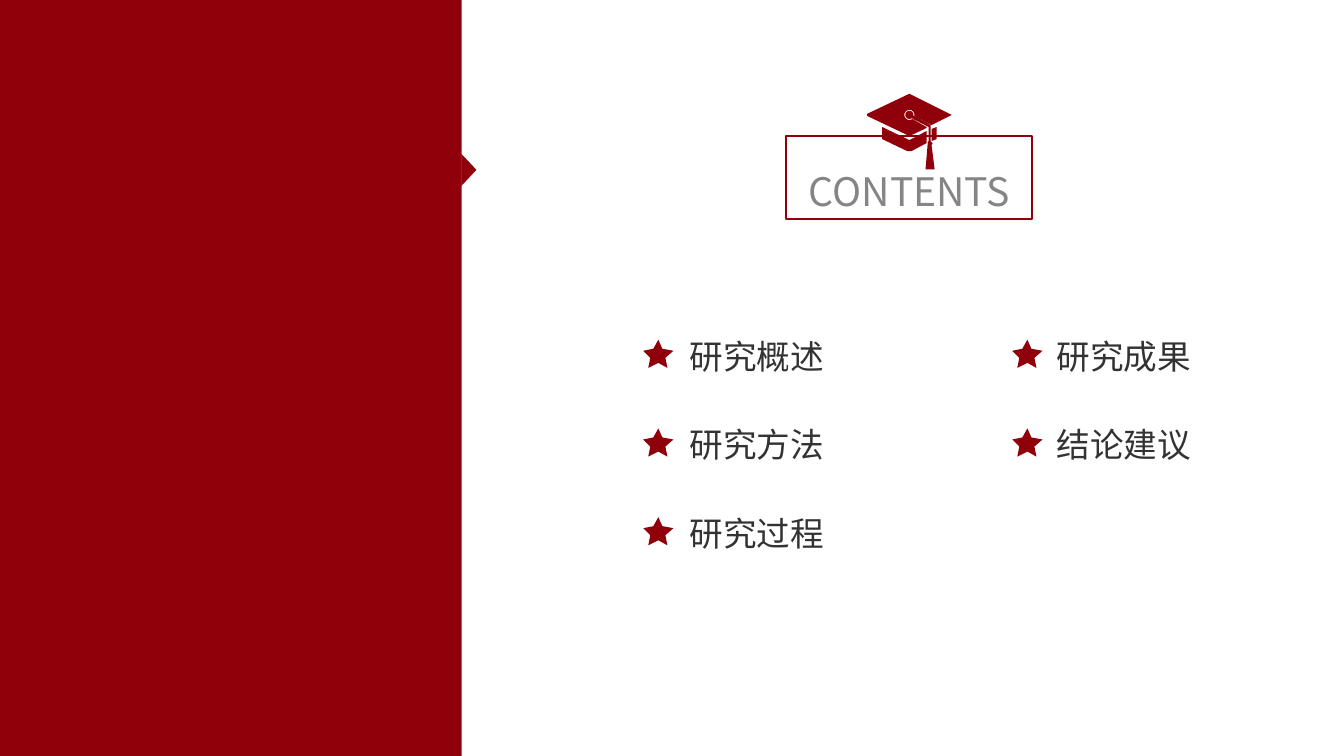
from math import cos, radians, sin

from lxml import etree
from pptx import Presentation
from pptx.dml.color import RGBColor
from pptx.enum.shapes import MSO_SHAPE
from pptx.enum.text import MSO_AUTO_SIZE, PP_ALIGN
from pptx.oxml.ns import qn
from pptx.util import Inches, Pt

RECT = MSO_SHAPE.RECTANGLE
TRIANGLE = MSO_SHAPE.ISOSCELES_TRIANGLE
CENTER = PP_ALIGN.CENTER
GROW = MSO_AUTO_SIZE.SHAPE_TO_FIT_TEXT
RED = RGBColor(0x8F, 0x00, 0x0B)
GRAY = RGBColor(0x85, 0x85, 0x85)
DARK = RGBColor(0x33, 0x33, 0x33)
FONT = "Noto Sans CJK SC"

deck = Presentation()
deck.slide_width = Inches(13.33)
deck.slide_height = Inches(7.5)
slide = deck.slides.add_slide(deck.slide_layouts[6])
shapes = slide.shapes


def add_text(text, left, top, width, height, size, color):
    box = shapes.add_textbox(Inches(left), Inches(top), Inches(width), Inches(height))
    frame = box.text_frame
    frame.text = text
    frame.word_wrap = True
    frame.auto_size = GROW
    line = frame.paragraphs[0]
    line.alignment = CENTER
    font = line.runs[0].font
    font.name = FONT
    font.size = Pt(size)
    font.color.rgb = color
    etree.SubElement(line.runs[0].font._element, qn("a:ea"), typeface=FONT)


def add_outline(parts):
    parts = [[(Inches(x), Inches(y)) for x, y in part] for part in parts]
    pen = shapes.build_freeform(*parts[0][0])
    for part in parts:
        if part is not parts[0]:
            pen.move_to(*part[0])
        pen.add_line_segments(part[1:], close=True)
    form = pen.convert_to_shape()
    form.shadow.inherit = False
    form.fill.solid()
    form.fill.fore_color.rgb = RED
    form.line.fill.background()


frame = shapes.add_shape(RECT, Inches(7.8), Inches(1.35), Inches(2.44), Inches(0.82))
frame.shadow.inherit = False
frame.fill.background()
frame.line.color.rgb = RED
frame.line.width = Pt(1.5)
add_text("CONTENTS", 7.8, 1.61, 2.44, 0.57, 28, GRAY)

turns = [radians(angle) for angle in range(55, 371, 15)]
ring = [(9.02 + 0.05 * cos(t), 1.14 + 0.05 * sin(t)) for t in turns]
knob = [(9.02 + 0.04 * cos(t), 1.14 + 0.04 * sin(t)) for t in turns]
board = [(9.44, 1.14), (9.02, 0.93), (8.6, 1.13), (8.6, 1.15), (9.02, 1.35),
         (9.19, 1.27), (9.19, 1.26)] + ring + [(9.24, 1.24)]
cord = [(9.23, 1.25), (9.23, 1.24)] + knob[::-1] + [(9.21, 1.26)]
band = [(8.75, 1.26), (8.75, 1.38), (9, 1.5), (9.04, 1.5), (9.19, 1.42),
        (9.19, 1.3), (9.02, 1.39)]
side = [(9.24, 1.4), (9.29, 1.38), (9.29, 1.26), (9.24, 1.28)]
tassel = [(9.23, 1.25), (9.23, 1.4), (9.25, 1.42), (9.24, 1.44), (9.27, 1.68),
          (9.18, 1.68), (9.2, 1.44), (9.2, 1.42), (9.21, 1.4), (9.21, 1.26)]
add_outline([side, band, cord, board, tassel])

panel = shapes.add_shape(RECT, 0, 0, Inches(4.58), Inches(7.5))
arrow = shapes.add_shape(TRIANGLE, Inches(4.49), Inches(1.61), Inches(0.32), Inches(0.15))
arrow.rotation = 90
for block in (panel, arrow):
    block.shadow.inherit = False
    block.fill.solid()
    block.fill.fore_color.rgb = RED
    block.line.fill.background()

STAR = [(0.15, 0), (0.19, 0.09), (0.3, 0.11), (0.22, 0.18), (0.24, 0.28),
        (0.15, 0.23), (0.05, 0.28), (0.07, 0.18), (0, 0.11), (0.1, 0.09)]
COLUMNS = [
    (6.38, 6.69, ["研究概述", "研究方法", "研究过程"]),
    (10.04, 10.33, ["研究成果", "结论建议"]),
]
for mark, left, topics in COLUMNS:
    for row, topic in enumerate(topics):
        top = 3.28 + 0.88 * row
        add_text(topic, left, top, 1.63, 0.5, 24, DARK)
        add_outline([[(mark + x, top + 0.09 + y) for x, y in STAR]])

deck.save("out.pptx")
